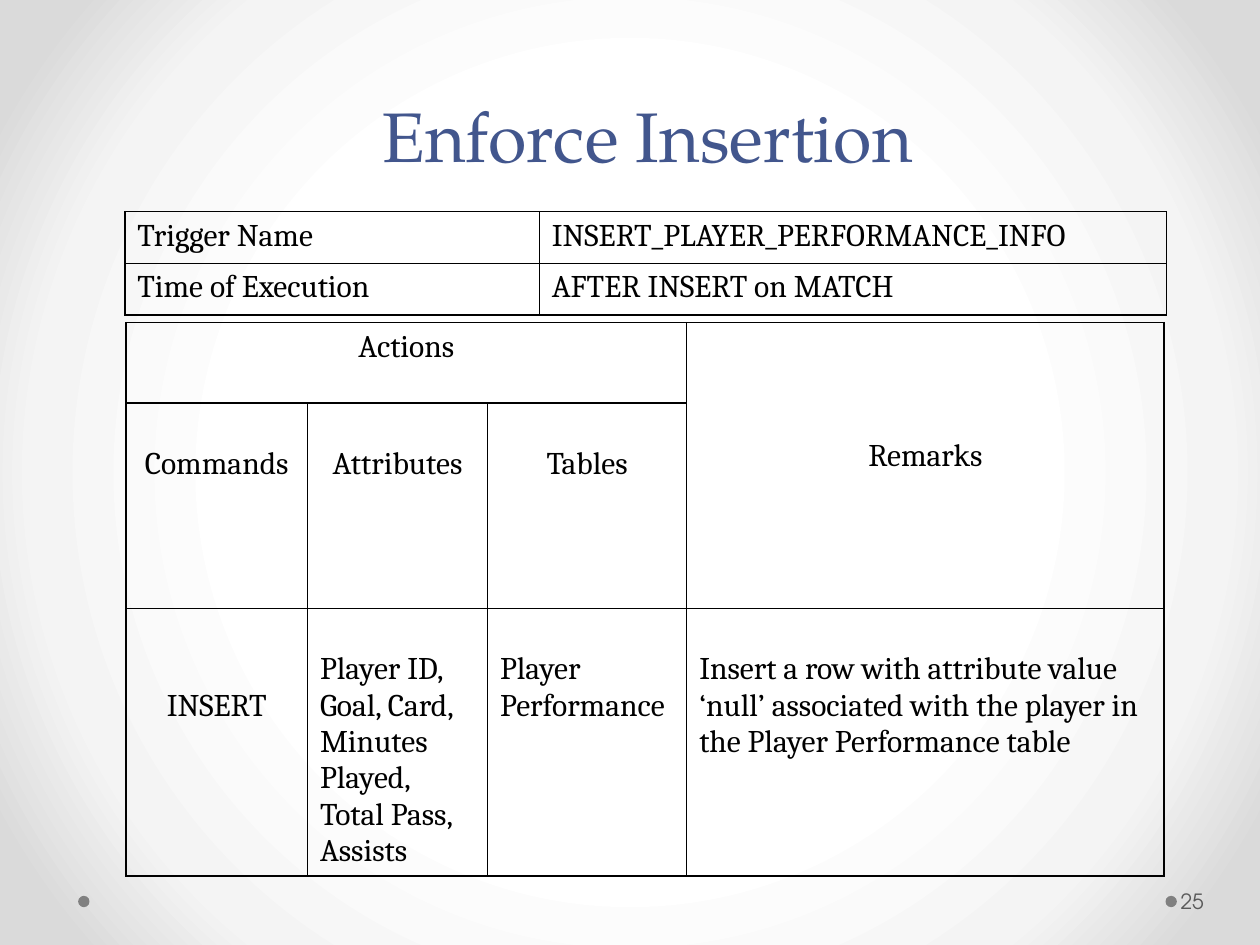
from pptx import Presentation
from pptx.dml.color import RGBColor
from pptx.enum import shapes, text
from pptx.oxml import parse_xml
from pptx.oxml.ns import nsdecls
from pptx.util import Inches, Pt

BLACK = RGBColor(0, 0, 0)
BLUE = RGBColor(0x42, 0x56, 0x8D)
GREY = RGBColor(0x80, 0x80, 0x80)
DARK = RGBColor(0x59, 0x59, 0x59)
STOPS = [(50, RGBColor(0xFF, 0xFF, 0xFF)), (76, RGBColor(0xF4, 0xF4, 0xF4)),
         (92, RGBColor(0xDA, 0xDA, 0xDA))]
LEFT, MID = text.PP_ALIGN.LEFT, text.PP_ALIGN.CENTER
LINE = 0.29  # height of one table text line, in inches


class Deck:
    """Holds the style and the current slide."""

    head, body, sans = "TeX Gyre Pagella", "Cambria", "TeX Gyre Adventor"

    def __init__(self):
        """Start a file with one title-only slide."""
        self.prs = Presentation()
        self.prs.slide_width, self.prs.slide_height = Inches(10), Inches(7.5)
        self.slide = self.prs.slides.add_slide(self.prs.slide_layouts[5])

    def fill_text(self, frame, words, font, size, color, align=LEFT):
        """Set text, one paragraph a line, and format it."""
        frame.word_wrap = True
        frame.text = words
        for para in frame.paragraphs:
            para.alignment = align
            for run in para.runs:
                run.font.name, run.font.size = font, Pt(size)
                run.font.color.rgb = color

    def back(self, stops):
        """Paint a round gradient behind the slide."""
        marks = "".join(f'<a:gs pos="{pos * 1000}"><a:srgbClr val="{color}"/></a:gs>'
                        for pos, color in stops)
        self.slide.background.fill.solid()
        fill = self.slide.element.cSld.bg.bgPr
        fill.replace(fill[0], parse_xml(
            f'<a:gradFill {nsdecls("a")} rotWithShape="1"><a:gsLst>{marks}</a:gsLst>'
            '<a:path path="circle"><a:fillToRect l="50000" t="50000" r="50000"'
            ' b="50000"/></a:path></a:gradFill>'))

    def title(self, words, x, y, w, h):
        """Place and format the title."""
        box = self.slide.shapes.title
        box.left, box.top, box.width, box.height = map(Inches, (x, y, w, h))
        self.fill_text(box.text_frame, words, self.head, 40, BLUE, MID)
        box.text_frame.vertical_anchor = text.MSO_ANCHOR.BOTTOM
        box.text_frame.paragraphs[0].line_spacing = Pt(58)

    def dot(self, x, y, size):
        """Draw a small grey dot."""
        dot = self.slide.shapes.add_shape(
            shapes.MSO_SHAPE.OVAL, *map(Inches, (x, y, size, size)))
        dot.shadow.inherit = False
        dot.fill.solid()
        dot.fill.fore_color.rgb = GREY
        dot.line.fill.background()

    def label(self, words, x, y, w, h):
        """Put a small label in a text box."""
        frame = self.slide.shapes.add_textbox(*map(Inches, (x, y, w, h))).text_frame
        self.fill_text(frame, words, self.sans, 12, DARK)
        frame.margin_left = Inches(0.03)
        frame.margin_right = Inches(0.05)
        frame.vertical_anchor = text.MSO_ANCHOR.MIDDLE

    def border(self, cell):
        """Clear a cell's fill and rule its four sides."""
        cell.fill.background()
        props = cell._tc.get_or_add_tcPr()
        for spot, side in enumerate("LRTB"):
            props.insert(spot, parse_xml(
                f'<a:ln{side} {nsdecls("a")} w="12700"><a:solidFill>'
                f'<a:srgbClr val="{BLACK}"/></a:solidFill></a:ln{side}>'))

    def table(self, x, y, cols, rows, cells, spans=()):
        """Add a ruled table; cells maps (row, column) to text, alignment, drop."""
        size = map(Inches, (x, y, sum(cols), sum(rows)))
        grid = self.slide.shapes.add_table(len(rows), len(cols), *size).table
        grid.first_row = grid.horz_banding = False
        for col, width in zip(grid.columns, cols):
            col.width = Inches(width)
        for row, height in zip(grid.rows, rows):
            row.height = Inches(height)
        for cell in grid.iter_cells():
            self.border(cell)
        for start, end in spans:
            grid.cell(*start).merge(grid.cell(*end))
        for spot, (words, align, drop) in cells.items():
            cell = grid.cell(*spot)
            cell.margin_top = Inches(0.05 + drop * LINE)
            self.fill_text(cell.text_frame, words, self.body, 18, BLACK, align)


deck = Deck()
deck.back(STOPS)
for x in (9.25, 0.62):
    deck.dot(x, 7.11, 0.09)
deck.title("Enforce Insertion", 1.12, 0.43, 8.04, 1.02)

deck.table(0.99, 1.68, [3.29, 4.98], [0.41, 0.41], {
    (0, 0): ("Trigger Name", LEFT, 0),
    (0, 1): ("INSERT_PLAYER_PERFORMANCE_INFO", LEFT, 0),
    (1, 0): ("Time of Execution", LEFT, 0),
    (1, 1): ("AFTER INSERT on MATCH", LEFT, 0),
})
deck.table(1, 2.56, [1.44, 1.43, 1.58, 3.79], [0.64, 1.63, 2.12], {
    (0, 0): ("Actions", MID, 0),
    (0, 3): ("Remarks", MID, 3),
    (1, 0): ("Commands", MID, 1),
    (1, 1): ("Attributes", MID, 1),
    (1, 2): ("Tables", MID, 1),
    (2, 0): ("INSERT", MID, 2),
    (2, 1): ("Player ID, Goal, Card, Minutes Played,\nTotal Pass,\nAssists", LEFT, 1),
    (2, 2): ("Player\nPerformance", LEFT, 1),
    (2, 3): ("Insert a row with attribute value\n\u2018null\u2019 associated with "
             "the player in the Player Performance table", LEFT, 1),
}, spans=[((0, 0), (0, 2)), ((0, 3), (1, 3))])
deck.label("25", 9.34, 6.95, 0.61, 0.4)
deck.prs.save("out.pptx")
